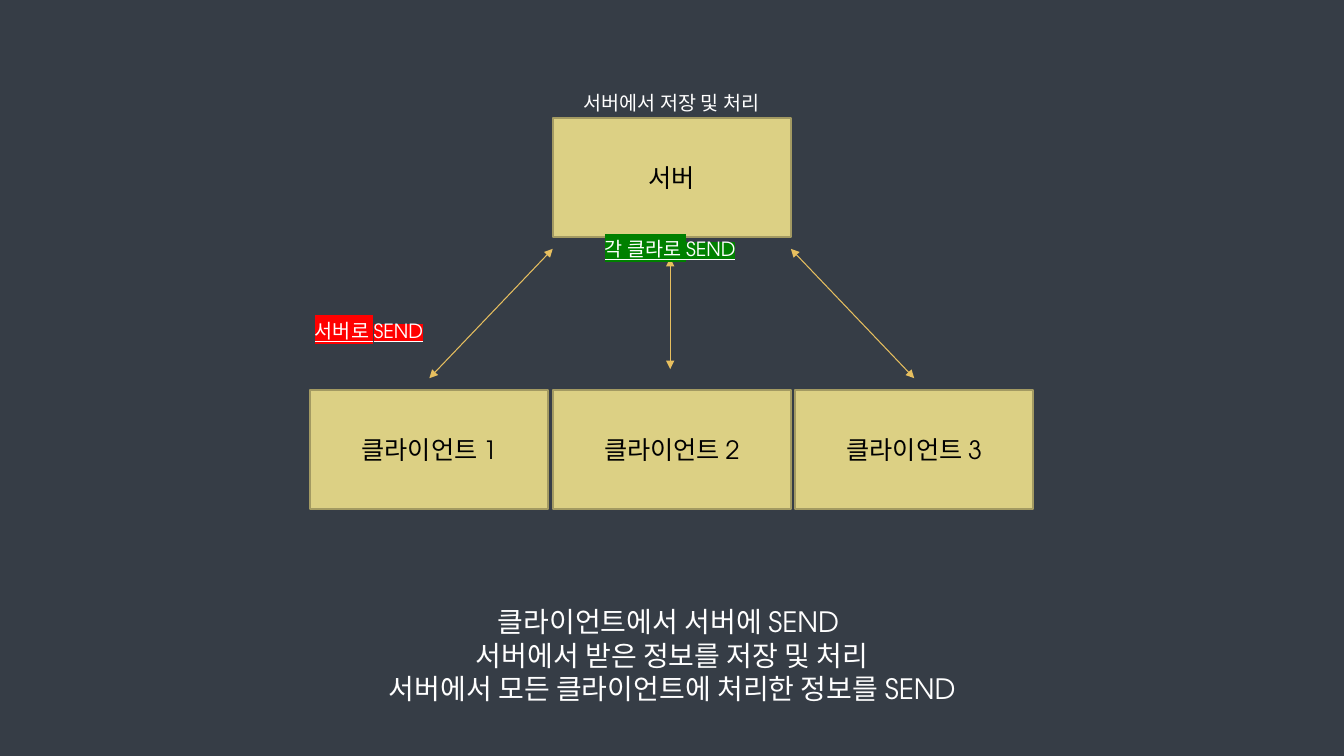
from dataclasses import dataclass

from lxml.etree import SubElement
from pptx import Presentation
from pptx.dml.color import RGBColor as Color
from pptx.enum.shapes import MSO_CONNECTOR as Connector, MSO_SHAPE as Shape
from pptx.enum.text import MSO_ANCHOR as Anchor, PP_ALIGN as Align
from pptx.oxml.ns import qn
from pptx.util import Cm, Pt


@dataclass(frozen=True)
class Theme:
    """Colours, font and type sizes."""
    font: str = "TeX Gyre Adventor"
    background: str = "363D46"
    box: str = "DCD084"
    border: str = "A39A62"
    arrow: str = "E7BF5F"
    dark: str = "000000"
    light: str = "FFFFFF"
    green: str = "008000"
    red: str = "FF0000"
    label_size: int = 14
    box_size: int = 18
    summary_size: int = 20


class Diagram:
    """Draws the parts of a client and server diagram on one slide."""

    def __init__(self, slide, theme):
        """Keep the slide and theme, and paint the background."""
        self.slide, self.theme = slide, theme
        fill = slide.background.fill
        fill.solid()
        fill.fore_color.rgb = Color.from_string(theme.background)

    def fill_text(self, frame, lines, size, color, underline=None):
        """Set centred lines, one paragraph each."""
        frame.word_wrap = True
        for number, line in enumerate(lines):
            paragraph = frame.add_paragraph() if number else frame.paragraphs[0]
            paragraph.add_run().text = line
            paragraph.alignment = Align.CENTER
            font = paragraph.font
            font.name, font.size, font.underline = self.theme.font, Pt(size), underline
            font.color.rgb = Color.from_string(color)

    def box(self, left, top, width, height, text):
        """Add a filled node with a centred name."""
        shape = self.slide.shapes.add_shape(
            Shape.RECTANGLE, Cm(left), Cm(top), Cm(width), Cm(height))
        shape.shadow.inherit = False
        shape.fill.solid()
        shape.fill.fore_color.rgb = Color.from_string(self.theme.box)
        shape.line.color.rgb = Color.from_string(self.theme.border)
        shape.line.width = Pt(1.5)
        shape.text_frame.vertical_anchor = Anchor.MIDDLE
        self.fill_text(shape.text_frame, [text], self.theme.box_size, self.theme.dark)

    def text(self, left, top, width, height, lines, size, highlight=None):
        """Add light text, underlined on a colour band if one is given."""
        shape = self.slide.shapes.add_textbox(Cm(left), Cm(top), Cm(width), Cm(height))
        frame = shape.text_frame
        self.fill_text(frame, lines, size, self.theme.light, True if highlight else None)
        if highlight:
            for paragraph in frame.paragraphs:
                for run in paragraph.runs:
                    properties = run._r.get_or_add_rPr()
                    band = SubElement(properties, qn("a:highlight"))
                    SubElement(band, qn("a:srgbClr"), val=highlight)

    def arrow(self, start, end):
        """Add a thin line with an arrowhead at both ends."""
        connector = self.slide.shapes.add_connector(
            Connector.STRAIGHT, *(Cm(value) for value in (*start, *end)))
        connector.line.color.rgb = Color.from_string(self.theme.arrow)
        connector.line.width = Pt(0.75)
        line = connector.line._get_or_add_ln()
        for tag in ("a:headEnd", "a:tailEnd"):
            SubElement(line, qn(tag), type="triangle")
        SubElement(connector._element.spPr, qn("a:effectLst"))


def main():
    """Build and save the slide."""
    presentation = Presentation()
    presentation.slide_width, presentation.slide_height = Cm(33.87), Cm(19.05)
    theme = Theme()
    slide = presentation.slides.add_slide(presentation.slide_layouts[6])
    diagram = Diagram(slide, theme)

    width, height, pitch = 6, 3, 6.11
    first_left, client_top = 7.82, 9.83
    server_left = first_left + pitch
    first_center = first_left + width / 2
    last_center = first_center + 2 * pitch

    diagram.box(server_left, 2.98, width, height, "서버")
    diagram.arrow((server_left, 6.27), (first_center, 9.53))
    diagram.arrow((16.89, 6.5), (16.89, 9.3))
    diagram.arrow((server_left + width, 6.27), (last_center, 9.53))
    for number in range(3):
        diagram.box(first_left + number * pitch, client_top, width, height,
                    f"클라이언트 {number + 1}")

    labels = [
        (server_left, 2.16, "서버에서 저장 및 처리", None),
        (13.89, 5.84, "각 클라로 SEND", theme.green),
        (6.3, 7.9, "서버로 SEND", theme.red),
    ]
    for left, top, label, highlight in labels:
        diagram.text(left, top, width, 0.86, [label], theme.label_size, highlight)

    summary = [
        "클라이언트에서 서버에 SEND ",
        "서버에서 받은 정보를 저장 및 처리",
        "서버에서 모든 클라이언트에 처리한 정보를 SEND",
    ]
    diagram.text(first_left, 15.11, 18.24, 2.82, summary, theme.summary_size)
    presentation.save("out.pptx")


if __name__ == "__main__":
    main()
